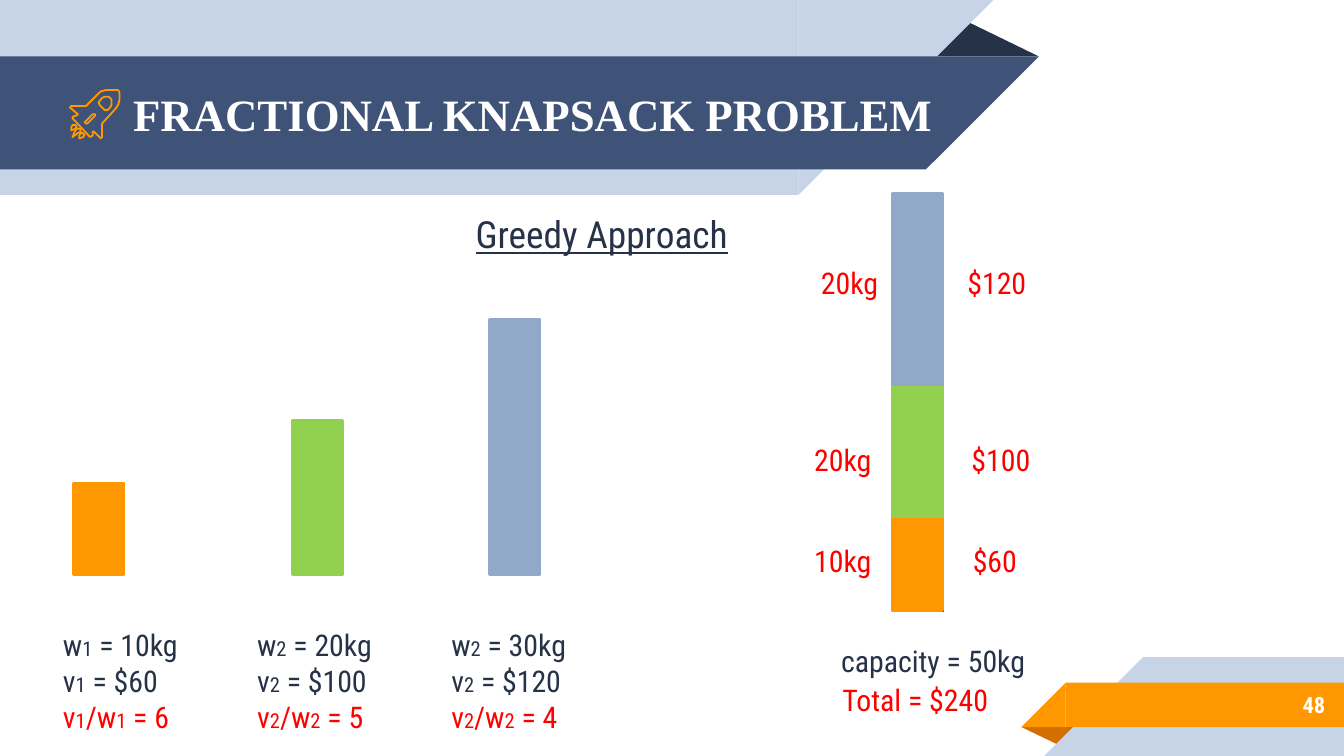
from dataclasses import dataclass

from pptx import Presentation
from pptx.dml.color import RGBColor
from pptx.enum.shapes import MSO_SHAPE
from pptx.enum.text import MSO_ANCHOR, MSO_AUTO_SIZE, PP_ALIGN
from pptx.util import Emu, Inches, Pt

COLUMNS, ROWS = 100, 56.25  # square grid cells
FINE = 100  # outline steps in one cell


@dataclass(frozen=True)
class Theme:
    ink: str = "263248"
    navy: str = "3F5378"
    pale: str = "C7D3E6"
    steel: str = "92A8C8"
    green: str = "92D050"
    orange: str = "FF9800"
    rust: str = "D26F00"
    red: str = "FF0000"
    white: str = "FFFFFF"
    outline: str = "131924"
    body_font: str = "Roboto Condensed"
    title_font: str = "Times New Roman"
    title_size: int = 24
    heading_size: int = 20
    body_size: int = 16
    number_size: int = 12
    index_size: int = 11


class SlideBuilder:
    def __init__(self, deck, theme):
        self.theme = theme
        self.cell = deck.slide_width / COLUMNS
        self.slide = deck.slides.add_slide(deck.slide_layouts[5])

    def span(self, *cells):
        return [Emu(round(count * self.cell)) for count in cells]

    def style(self, shape, fill=None, line=None, width=0):
        shape.shadow.inherit = False
        if fill:
            shape.fill.solid()
            shape.fill.fore_color.rgb = RGBColor.from_string(fill)
        else:
            shape.fill.background()
        if line:
            shape.line.color.rgb = RGBColor.from_string(line)
            shape.line.width = Pt(width)
        else:
            shape.line.fill.background()

    def block(self, box, fill, line=None, width=2, kind=MSO_SHAPE.RECTANGLE,
              mirrored=False, turned=False):
        shape = self.slide.shapes.add_shape(kind, *self.span(*box))
        self.style(shape, fill, line, width)
        if mirrored:
            shape._element.spPr.find("{*}xfrm").set("flipH", "1")
        if turned:
            shape.rotation = 180
        return shape

    def fold(self, box, fill, turned=False):
        shape = self.block(box, fill, kind=MSO_SHAPE.ISOSCELES_TRIANGLE, turned=turned)
        shape.adjustments[0] = 0.324

    def header_band(self, top, width, height, fill):
        """Band from the left edge, its right end slanting outwards to the top."""
        self.block((0, top, width, height), fill)
        self.block((width, top, height, height), fill, kind=MSO_SHAPE.RIGHT_TRIANGLE,
                   mirrored=True, turned=True)

    def footer_band(self, left, top, height, fill):
        """Band to the right edge, its left end slanting outwards to the bottom."""
        start = left + height
        self.block((start, top, COLUMNS - start, height), fill)
        self.block((left, top, height, height), fill, kind=MSO_SHAPE.RIGHT_TRIANGLE,
                   mirrored=True)

    def outline(self, contours, color):
        first, *others = [[(x * FINE, y * FINE) for x, y in contour]
                          for contour in contours]
        builder = self.slide.shapes.build_freeform(*first[0], scale=self.cell / FINE)
        builder.add_line_segments(first[1:], close=True)
        for contour in others:
            builder.move_to(*contour[0])
            builder.add_line_segments(contour[1:], close=True)
        self.style(builder.convert_to_shape(), line=color, width=0.96)

    def font(self, paragraph, size, color, name=None, **marks):
        font = paragraph.font
        font.name, font.size = name or self.theme.body_font, Pt(size)
        font.color.rgb = RGBColor.from_string(color)
        for mark, value in marks.items():
            setattr(font, mark, value)

    def place(self, shape, box):
        shape.left, shape.top, shape.width, shape.height = self.span(*box)

    def banner_text(self, shape, text, size, name=None, align=None):
        frame = shape.text_frame
        frame.word_wrap = True
        frame.auto_size = MSO_AUTO_SIZE.NONE
        frame.vertical_anchor = MSO_ANCHOR.MIDDLE
        frame.margin_left = frame.margin_right = Inches(0.1)
        frame.margin_top = frame.margin_bottom = Inches(0.1)
        frame.text = text
        frame.paragraphs[0].alignment = align
        self.font(frame.paragraphs[0], size, self.theme.white, name, bold=True)

    def title(self, box, text):
        shape = self.slide.shapes.title
        self.place(shape, box)
        self.banner_text(shape, text, self.theme.title_size, self.theme.title_font,
                         PP_ALIGN.LEFT)

    def page_number(self, box, text):
        shape = self.slide.shapes.add_textbox(*self.span(*box))
        self.banner_text(shape, text, self.theme.number_size, align=PP_ALIGN.RIGHT)

    def label(self, box, lines, size=None, **marks):
        """Lines are (colour, parts) pairs; every second part is a small index."""
        shape = self.slide.shapes.add_textbox(*self.span(*box))
        frame = shape.text_frame
        frame.word_wrap = False
        frame.auto_size = MSO_AUTO_SIZE.SHAPE_TO_FIT_TEXT
        for row, (color, parts) in enumerate(lines):
            paragraph = frame.add_paragraph() if row else frame.paragraphs[0]
            self.font(paragraph, size or self.theme.body_size, color, **marks)
            for position, part in enumerate(parts):
                run = paragraph.add_run()
                run.text = part
                if position % 2:
                    run.font.size = Pt(self.theme.index_size)


ROCKET = [
    [(7.6, 10.2), (7.6, 9.2), (8.6, 8.1), (8.8, 7.8), (8.9, 7.4), (8.9, 6.9),
     (8.8, 6.7), (8.4, 6.7), (7.9, 6.7), (7.5, 6.8), (7.4, 6.9), (6.4, 7.9),
     (5.3, 7.9), (5.2, 8), (5.8, 8.5), (5.7, 8.6), (5.4, 8.7), (5.4, 8.8),
     (6.7, 10.2), (6.9, 10.1), (6.9, 9.8), (7, 9.8), (7.5, 10.3)],
    [(6.5, 9.2), (6.4, 9.2), (6.3, 9.1), (6.9, 8.5), (7.1, 8.5), (7.1, 8.6)],
    [(8, 8.2), (7.8, 8.2), (7.4, 7.8), (7.35, 7.6), (7.6, 7.3), (7.8, 7.2),
     (8.1, 7.2), (8.3, 7.4), (8.3, 7.8), (8.2, 8)],
]
FLAMES = [
    [(6, 9.6), (5.8, 9.55), (5.6, 9.7), (5.4, 10.2), (5.8, 9.9), (6, 9.8)],
    [(6.2, 10), (6.2, 9.9), (6, 9.9), (5.9, 10.1), (5.9, 10.3), (6.2, 10.2), (6.3, 10)],
    [(5.6, 9.3), (5.4, 9.3), (5.3, 9.5), (5.3, 9.7), (5.6, 9.6), (5.7, 9.4)],
]


def draw_frame(page, theme):
    page.fold((68.8, 1.4, 8.5, 2.8), theme.ink)
    page.header_band(0, 59.4, 14.5, theme.pale)
    page.header_band(4.2, 68.9, 8.4, theme.navy)
    page.fold((76, 54.1, 4.3, 1.4), theme.rust, turned=True)
    page.footer_band(77.7, 48.9, 7.35, theme.pale)
    page.footer_band(76, 50.8, 3.3, theme.orange)
    page.title((8.9, 4.25, 61.9, 8.4), "FRACTIONAL KNAPSACK PROBLEM")
    page.page_number((83.3, 50.7, 16.3, 3.5), "48")
    page.outline(ROCKET, theme.orange)
    for flame in FLAMES:
        page.outline([flame], theme.orange)


def draw_items(page, theme):
    bar_width, baseline = 3.7, 42.7
    items = [
        (5.5, 6.7, theme.orange, "1", "10kg", "$60", "6"),
        (21.8, 11.4, theme.green, "2", "20kg", "$100", "5"),
        (36.45, 18.9, theme.steel, "2", "30kg", "$120", "4"),
    ]
    for column, (left, height, color, index, weight, value, ratio) in enumerate(items):
        page.block((left, baseline - height, bar_width, height), color, color)
        page.label((3.7 + 14.45 * column, 46.15, 11, 9.1), [
            (theme.ink, ["w", index, f" = {weight}"]),
            (theme.ink, ["v", index, f" = {value}"]),
            (theme.red, ["v", index, "/w", index, f" = {ratio}"]),
        ])


def draw_knapsack(page, theme):
    page.block((66.5, 14.5, 3.7, 31), theme.white, theme.outline, 0.25)
    portions = [
        (27.3, 11.4, theme.green, 32.4, 59.6, "20kg", 71.3, "$100"),
        (38.7, 6.7, theme.orange, 39.9, 59.6, "10kg", 71.4, "$60"),
        (14.4, 14.2, theme.steel, 19.2, 60.1, "20kg", 71, "$120"),
    ]
    for top, height, color, row, weight_left, weight, value_left, value in portions:
        page.block((66.4, top, 3.7, height), color, color)
        page.label((weight_left, row, 6.3, 3.7), [(theme.red, [weight])])
        page.label((value_left, row, 1.1 * len(value) + 2, 3.7), [(theme.red, [value])])
    page.label((61.6, 47.3, 15.9, 3.7), [(theme.ink, ["capacity = 50kg"])])
    page.label((61.7, 50.2, 13.1, 3.7), [(theme.red, ["Total = $240"])])


def main():
    theme = Theme()
    deck = Presentation()
    deck.slide_width = Inches(10)
    deck.slide_height = round(deck.slide_width * ROWS / COLUMNS)
    page = SlideBuilder(deck, theme)
    draw_frame(page, theme)
    draw_items(page, theme)
    draw_knapsack(page, theme)
    page.label((34.4, 15.25, 21, 4.4), [(theme.ink, ["Greedy Approach"])],
               theme.heading_size, underline=True)
    # The title placeholder comes first, so lift it above the bands.
    title = page.slide.shapes.title._element
    title.getparent().append(title)
    deck.save("out.pptx")


if __name__ == "__main__":
    main()
